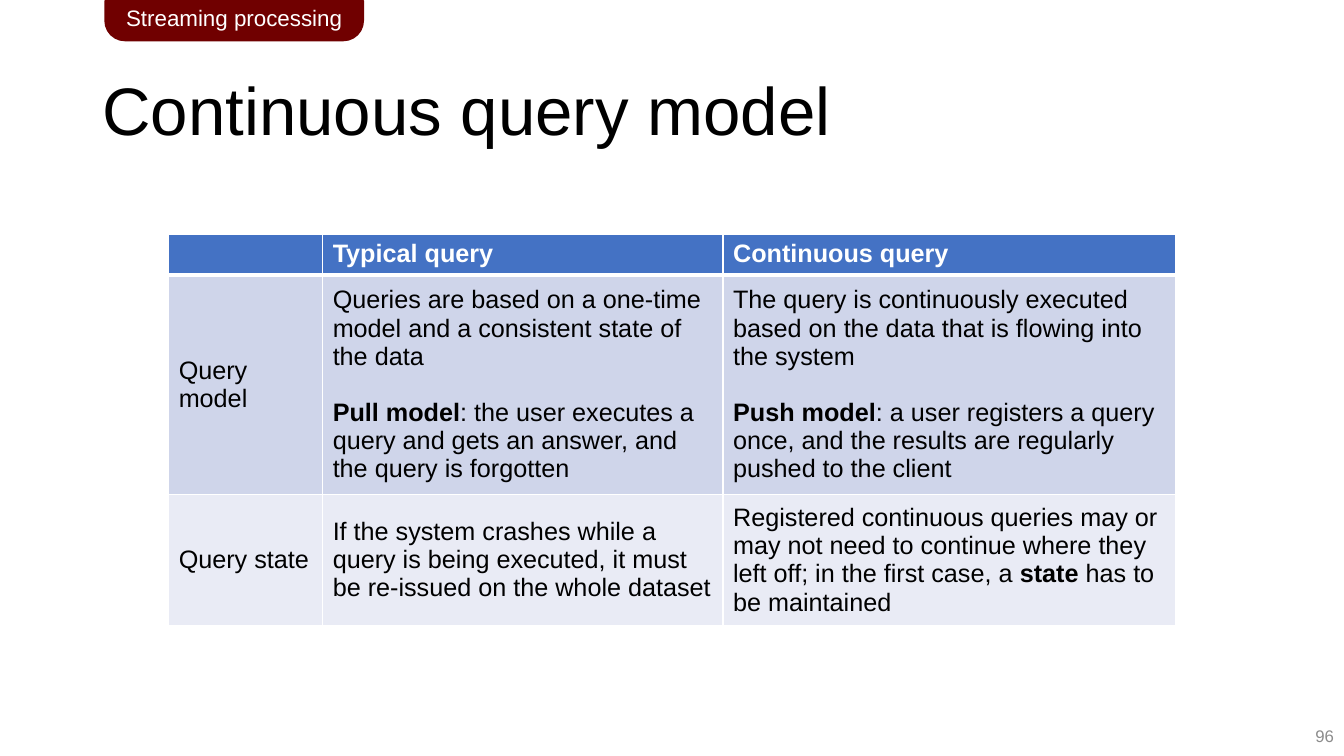
from pptx import Presentation
from pptx.dml.color import RGBColor as Rgb
from pptx.enum.shapes import MSO_SHAPE as Kind
from pptx.enum.text import MSO_ANCHOR as Anchor, PP_ALIGN as Align
from pptx.oxml import parse_xml
from pptx.oxml.ns import nsdecls
from pptx.util import Pt

FONT = "Arial"
COLORS = {
    "black": "000000", "white": "FFFFFF", "gray": "8C8C8C", "maroon": "700000",
    "head": "4472C4", "dark": "CFD5EA", "light": "E9EBF5",
}
WIDTHS = [110, 286, 323]
HEIGHTS = [27, 148, 88]
FILLS = ["head", "dark", "light"]

# Each cell is a list of paragraphs; ** encloses bold words
ROWS = [
    [[], ["Typical query"], ["Continuous query"]],
    [
        ["Query model"],
        ["Queries are based on a one-time model and a consistent state of the data",
         "**Pull model**: the user executes a query and gets an answer, "
         "and the query is forgotten"],
        ["The query is continuously executed based on the data that is flowing "
         "into the system",
         "**Push model**: a user registers a query once, and the results are "
         "regularly pushed to the client"],
    ],
    [
        ["Query state"],
        ["If the system crashes while a query is being executed, it must be "
         "re-issued on the whole dataset"],
        ["Registered continuous queries may or may not need to continue where they "
         "left off; in the first case, a **state **has to be maintained"],
    ],
]


def rgb(name):
    return Rgb.from_string(COLORS[name])


def style(para, size, color, align=Align.LEFT, bold=False):
    para.alignment = align
    font = para.font
    font.name, font.size, font.bold = FONT, Pt(size), bold
    font.color.rgb = rgb(color)


def write(frame, text, size, color, align=Align.LEFT):
    frame.text = text
    frame.word_wrap = True
    frame.vertical_anchor = Anchor.MIDDLE
    style(frame.paragraphs[0], size, color, align)


def add_title(slide, text):
    title = slide.shapes.title
    title.left, title.top, title.width, title.height = Pt(66), Pt(29), Pt(828), Pt(104)
    write(title.text_frame, text, 48, "black")
    title.text_frame.paragraphs[0].line_spacing = 0.9


def add_tab(slide, text):
    tab = slide.shapes.add_shape(
        Kind.ROUND_2_SAME_RECTANGLE, Pt(75), Pt(0.5), Pt(184.5), Pt(28.5))
    tab.adjustments[0], tab.adjustments[1] = 0, 0.5
    tab.shadow.inherit = False
    tab.fill.solid()
    tab.fill.fore_color.rgb = rgb("maroon")
    tab.line.color.rgb = rgb("maroon")
    tab.line.width = Pt(1)
    write(tab.text_frame, text, 16, "white", Align.CENTER)


def add_number(slide, text):
    box = slide.shapes.add_textbox(Pt(744), Pt(511), Pt(216), Pt(29))
    write(box.text_frame, text, 12, "gray", Align.RIGHT)


def add_borders(cell, top, bottom):
    props = cell._tc.get_or_add_tcPr()
    for side, width in (("L", 1), ("R", 1), ("T", top), ("B", bottom)):
        props.append(parse_xml(
            f'<a:ln{side} {nsdecls("a")} w="{Pt(width)}"><a:solidFill>'
            f'<a:srgbClr val="{COLORS["white"]}"/></a:solidFill></a:ln{side}>'))


def fill_cell(cell, texts, row):
    head = row == 0
    add_borders(cell, 3 if row == 1 else 1, 3 if head else 1)
    cell.fill.solid()
    cell.fill.fore_color.rgb = rgb(FILLS[row])
    cell.vertical_anchor = Anchor.TOP if head else Anchor.MIDDLE
    frame = cell.text_frame
    for i, text in enumerate(texts):
        para = frame.add_paragraph() if i else frame.paragraphs[0]
        if i:
            para.space_before = Pt(20)
        style(para, 18, "white" if head else "black", bold=head)
        for j, part in enumerate(text.split("**")):
            if part:
                run = para.add_run()
                run.text = part
                if j % 2:
                    run.font.bold = True


def add_grid(slide):
    table = slide.shapes.add_table(
        len(ROWS), len(WIDTHS), Pt(120.5), Pt(167.5),
        Pt(sum(WIDTHS)), Pt(sum(HEIGHTS))).table
    for col, width in zip(table.columns, WIDTHS):
        col.width = Pt(width)
    for r, (height, cells) in enumerate(zip(HEIGHTS, ROWS)):
        table.rows[r].height = Pt(height)
        for c, texts in enumerate(cells):
            fill_cell(table.cell(r, c), texts, r)


def main():
    deck = Presentation()
    deck.slide_width, deck.slide_height = Pt(960), Pt(540)
    slide = deck.slides.add_slide(deck.slide_layouts[5])
    # Heading and page number
    add_title(slide, "Continuous query model")
    add_number(slide, "96")
    # Comparison of the two models
    add_grid(slide)
    # Section tab
    add_tab(slide, "Streaming processing")
    deck.save("out.pptx")


if __name__ == "__main__":
    main()
